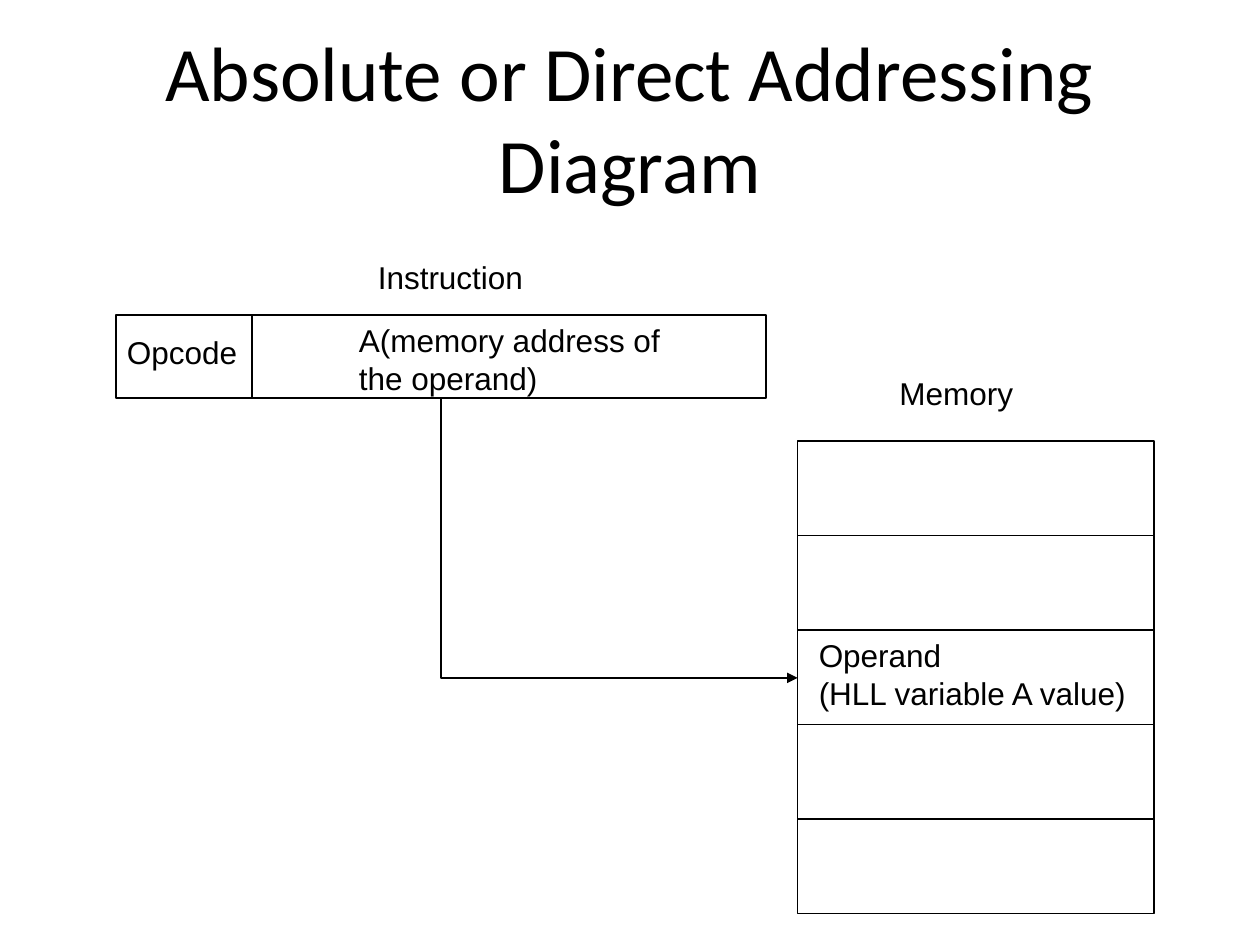
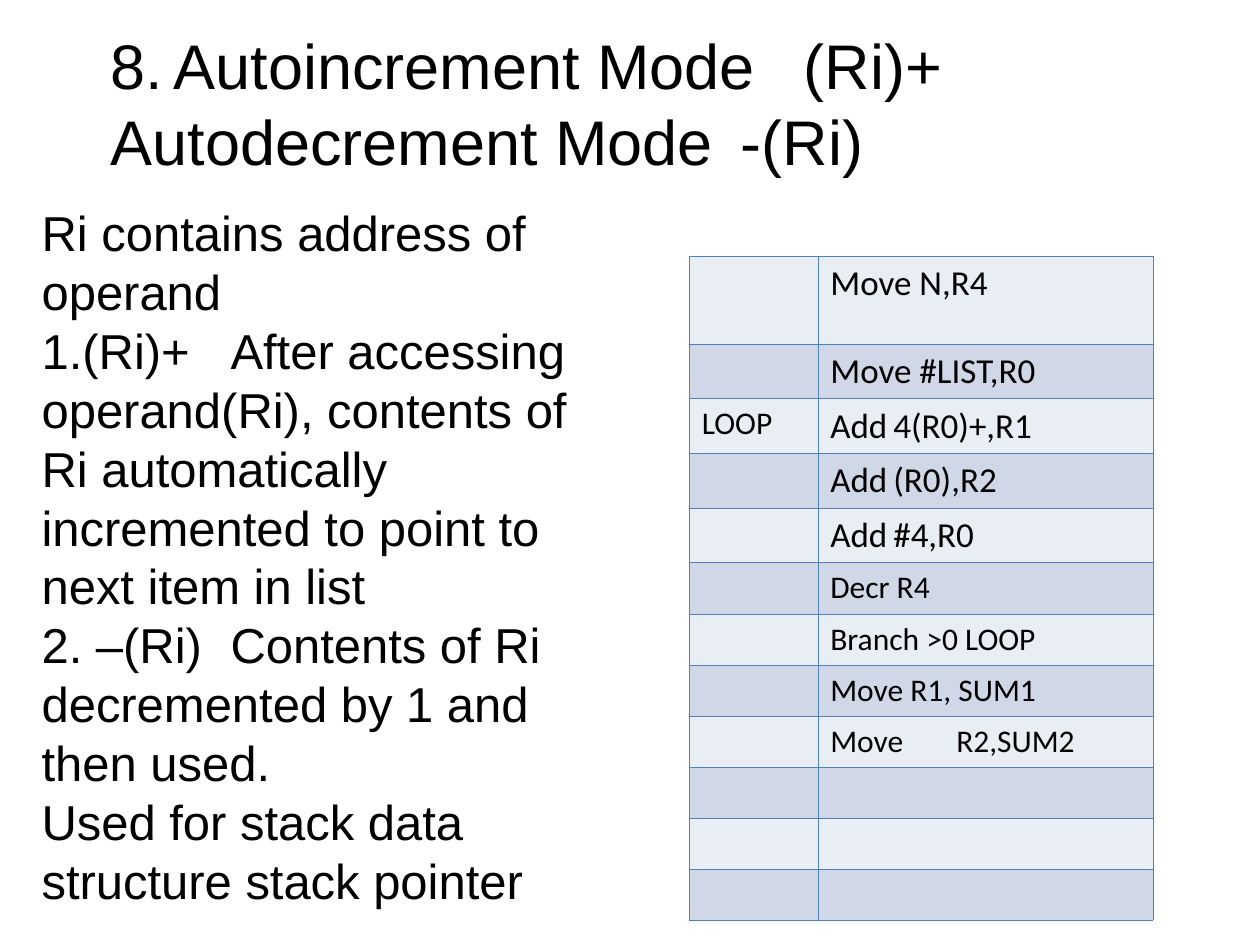
from pptx import Presentation
from pptx.dml.color import RGBColor
from pptx.enum.shapes import MSO_CONNECTOR, MSO_SHAPE
from pptx.enum.text import MSO_ANCHOR, MSO_AUTO_SIZE, PP_ALIGN
from pptx.oxml.ns import qn
from pptx.util import Inches, Pt
from lxml.etree import SubElement

COLORS = {"ink": "000000", "grid": "4F81BD", "light": "E9EDF4", "dark": "D0D8E8"}


def color(name):
    return RGBColor.from_string(COLORS[name])


def assign(target, values):
    for key, value in values.items():
        setattr(target, key, value)


class Deck:
    frame = {
        "auto_size": MSO_AUTO_SIZE.NONE,
        "margin_left": Inches(0.1),
        "margin_right": Inches(0.1),
        "margin_top": Inches(0.05),
        "margin_bottom": Inches(0.05),
    }
    para = {"alignment": PP_ALIGN.LEFT, "space_before": Pt(0), "space_after": Pt(0)}

    def __init__(self):
        self.show = Presentation()
        assign(self.show, {"slide_width": Inches(10), "slide_height": Inches(7.5)})
        self.slide = None

    def start(self, layout):
        self.slide = self.show.slides.add_slide(self.show.slide_layouts[layout])

    def letter(self, frame, lines, size, font="Arial", **extra):
        for index, line in enumerate(lines):
            text, *stops = [line] if isinstance(line, str) else line
            part = frame.paragraphs[0] if index == 0 else frame.add_paragraph()
            assign(part, {**self.para, **extra})
            props = part._p.get_or_add_pPr()
            props.set("marL", "0")
            props.set("indent", "0")
            SubElement(props, qn("a:buNone"))
            if stops:
                tabs = SubElement(props, qn("a:tabLst"))
                for stop in stops:
                    SubElement(tabs, qn("a:tab"), pos=str(Inches(stop)), algn="l")
            run = part.add_run()
            run.text = text
            assign(run.font, {"name": font, "size": Pt(size)})
            run.font.color.rgb = color("ink")

    def place(self, index, box, lines, size, anchor, **extra):
        holder = self.slide.placeholders[index]
        names = ("left", "top", "width", "height")
        assign(holder, dict(zip(names, map(Inches, box))))
        frame = holder.text_frame
        assign(frame, {**self.frame, "word_wrap": True, "vertical_anchor": anchor})
        self.letter(frame, lines, size, **extra)

    def label(self, box, *lines):
        frame = self.slide.shapes.add_textbox(*map(Inches, box)).text_frame
        assign(frame, {**self.frame, "word_wrap": False})
        self.letter(frame, lines, 18)

    def stroke(self, shape):
        shape.line.color.rgb = color("ink")
        shape.line.width = Pt(1)

    def outline(self, shape):
        shape.shadow.inherit = False
        shape.fill.background()
        self.stroke(shape)

    def rect(self, *box):
        kind = MSO_SHAPE.RECTANGLE
        self.outline(self.slide.shapes.add_shape(kind, *map(Inches, box)))

    def rule(self, *ends):
        kind = MSO_CONNECTOR.STRAIGHT
        line = self.slide.shapes.add_connector(kind, *map(Inches, ends))
        self.stroke(line)
        SubElement(line._element.spPr, qn("a:effectLst"))

    def arrow(self, *points):
        first, *rest = [tuple(map(Inches, point)) for point in points]
        pen = self.slide.shapes.build_freeform(*first)
        pen.add_line_segments(rest, close=False)
        shape = pen.convert_to_shape()
        self.outline(shape)
        SubElement(shape._element.spPr.find(qn("a:ln")), qn("a:tailEnd"), type="triangle")

    def border(self, cell):
        props = cell._tc.get_or_add_tcPr()
        for side in ("lnL", "lnR", "lnT", "lnB"):
            line = SubElement(props, qn(f"a:{side}"), w=str(Pt(0.23)))
            fill = SubElement(line, qn("a:solidFill"))
            SubElement(fill, qn("a:srgbClr"), val=COLORS["grid"])

    def table(self, box, widths, heights, rows):
        shape = self.slide.shapes.add_table(len(rows), len(widths), *map(Inches, box))
        grid = shape.table
        for column, width in zip(grid.columns, widths):
            column.width = Inches(width)
        for index, (height, (size, *texts)) in enumerate(zip(heights, rows)):
            grid.rows[index].height = Inches(height)
            for cell, text in zip(grid.rows[index].cells, texts):
                self.border(cell)
                cell.fill.solid()
                cell.fill.fore_color.rgb = color("dark" if index % 2 else "light")
                if text:
                    scale = 18 if text == "LOOP" else size
                    self.letter(cell.text_frame, [text], scale, "Calibri", line_spacing=0.98)


def direct(deck):
    deck.start(5)
    deck.place(0, (0.5, 0.3, 9, 1.25), ["Absolute or Direct Addressing Diagram"], 44,
               MSO_ANCHOR.MIDDLE, font="Calibri", alignment=PP_ALIGN.CENTER)
    deck.rect(0.92, 2.5, 5.16, 0.66)
    deck.rule(2, 2.5, 2, 3.16)
    deck.label((2.75, 2.5, 2.59, 0.7), "A(memory address of", "the operand)")
    deck.label((0.91, 2.59, 1.07, 0.4), "Opcode")
    deck.label((2.9, 2, 1.35, 0.4), "Instruction")
    for row in range(5):
        deck.rect(6.33, 3.5 + 0.75 * row, 2.83, 0.75)
    deck.label((7.04, 2.92, 1.1, 0.4), "Memory")
    deck.label((6.4, 5, 2.67, 0.7), "Operand", "(HLL variable A value)")
    deck.arrow((3.5, 3.16), (3.5, 5.38), (6.33, 5.38))


def auto(deck):
    deck.start(1)
    rows = [
        (20, "", "Move N,R4"),
        (20, "", "Move #LIST,R0"),
        (20, "LOOP", ("Add\t4(R0)+,R1", 0.58)),
        (20, "", ("Add\t(R0),R2", 0.58)),
        (20, "", ("Add\t#4,R0", 0.58)),
        (18, "", "Decr R4"),
        (18, "", "Branch >0 LOOP"),
        (18, "", "Move R1, SUM1"),
        (18, "", ("Move\tR2,SUM2", 0.69)),
    ] + [(18, "", "")] * 3
    heights = [0.7] + [0.43] * 4 + [0.4] * 7
    deck.table((5.47, 2.03, 3.68, 5.24), (1.02, 2.66), heights, rows)
    deck.place(0, (0.78, 0.16, 7.81, 1.3), [
        ("8.\tAutoincrement Mode\t(Ri)+", 0.82, 5.71),
        ("Autodecrement Mode\t-(Ri)", 5.06),
    ], 36, MSO_ANCHOR.TOP)
    deck.place(1, (0.23, 1.56, 4.61, 5.71), [
        "Ri contains address of operand",
        ("1.(Ri)+\tAfter accessing operand(Ri), contents of Ri automatically "
         "incremented to point to next item in list", 1.48),
        ("2. –(Ri)\tContents of Ri decremented by 1 and then used.", 1.48),
        "Used for stack data structure stack pointer",
    ], 28, MSO_ANCHOR.TOP)


def main():
    deck = Deck()
    direct(deck)
    auto(deck)
    deck.show.save("out.pptx")


if __name__ == "__main__":
    main()
